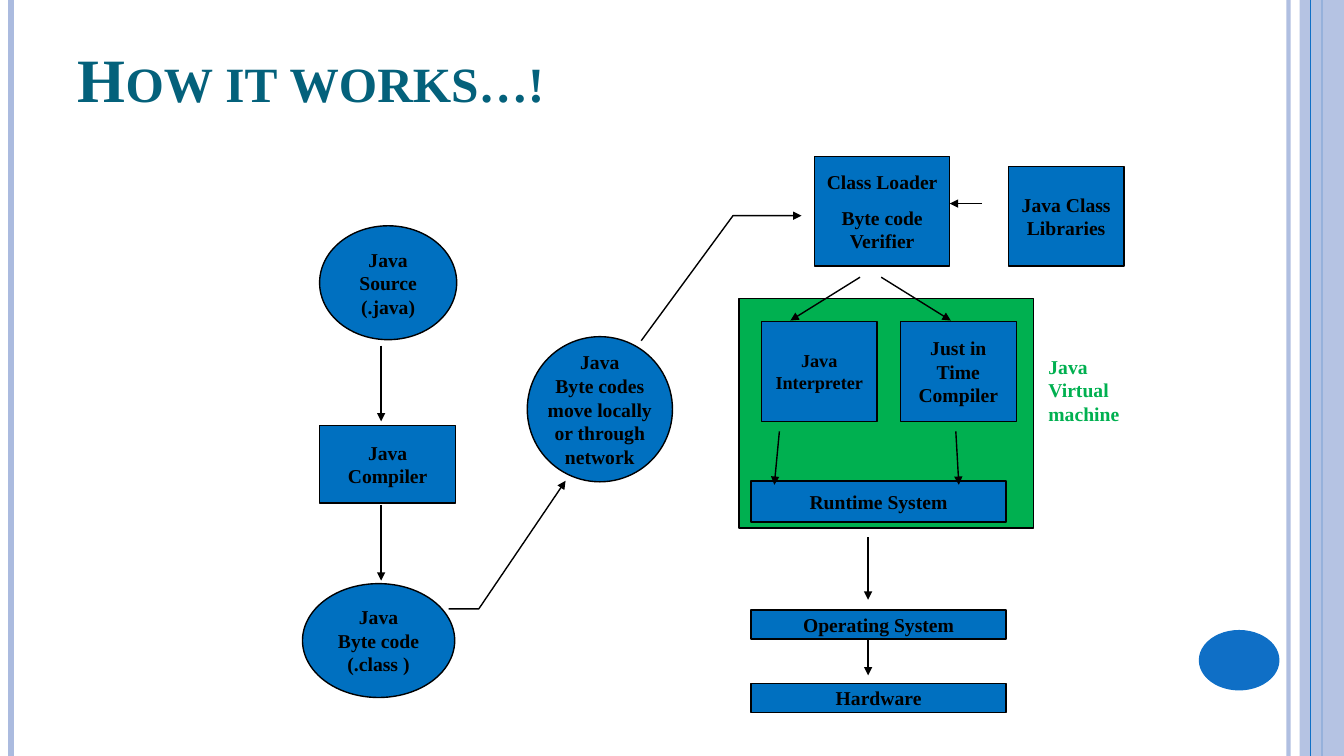
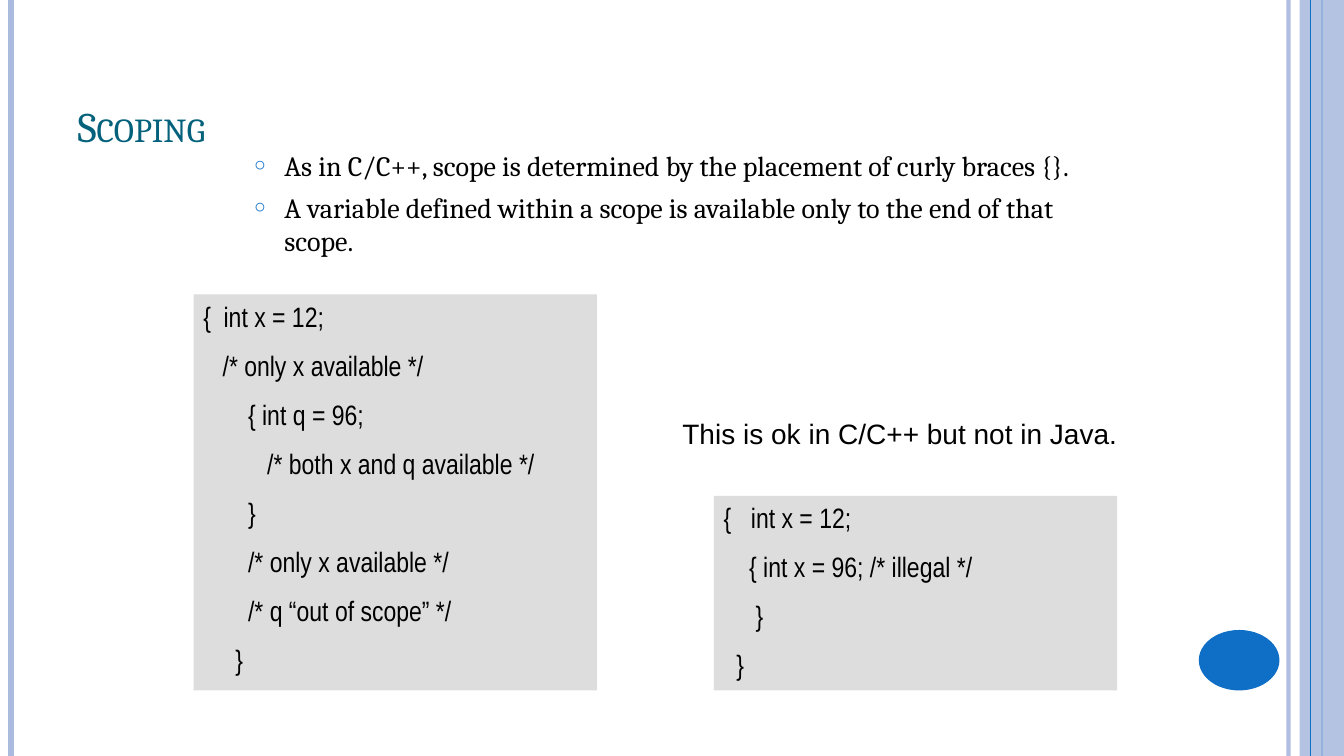
from pptx import Presentation
from pptx.dml.color import RGBColor
from pptx.enum.shapes import MSO_CONNECTOR as LINK, MSO_SHAPE as SHAPE
from pptx.enum.text import MSO_ANCHOR as ANCHOR, MSO_AUTO_SIZE as FIT, PP_ALIGN as ALIGN
from pptx.oxml.ns import qn
from pptx.util import Inches, Pt
from lxml.etree import SubElement

TEAL = RGBColor(0x04, 0x61, 0x7B)
ACCENT = RGBColor(0x0F, 0x6F, 0xC6)
LAVENDER = RGBColor(0xAB, 0xBB, 0xDF)
BLUE = RGBColor(0x00, 0x70, 0xC0)
GREEN = RGBColor(0x00, 0xB0, 0x50)
GREY = RGBColor(0xDD, 0xDD, 0xDD)
BLACK = RGBColor(0, 0, 0)

SERIF, BODY, SANS, CODE = "Times New Roman", "Cambria", "Arial", "Arial Narrow"
TITLE_ONLY, TITLE_AND_CONTENT = 5, 1
CODE_SPACE = Pt(4.55)  # width of one space in the code font


def set_opacity(properties, percent):
    for color in properties.iter(qn("a:srgbClr")):
        SubElement(color, qn("a:alpha"), val=str(percent * 1000))


def place(shape, left, top, width, height):
    shape.left, shape.top = Inches(left), Inches(top)
    shape.width, shape.height = Inches(width), Inches(height)


class Deck:
    """Holds the shared style and the slide being drawn."""

    def __init__(self):
        self.prs = Presentation()
        self.prs.slide_width, self.prs.slide_height = Inches(13.33), Inches(7.5)
        self.slide = None

    def new_slide(self, layout):
        self.slide = self.prs.slides.add_slide(self.prs.slide_layouts[layout])

    def master_frame(self):
        """Draw the side lines, band and disc, then move them to the master."""
        frame = [
            self.line((12.78, 0), (12.78, 7.5), LAVENDER, 3),
            self.line((0.11, 0), (0.11, 7.5), LAVENDER, 4.5),
            self.line((13.11, 0), (13.11, 7.5), ACCENT, 1.5),
            self.shape(SHAPE.RECTANGLE, (12.89, 0, 0.44, 7.5), LAVENDER),
            self.line((13, 0), (13, 7.5), ACCENT, 0.75),
            self.shape(SHAPE.OVAL, (11.89, 6.25, 0.8, 0.6), ACCENT),
        ]
        set_opacity(frame[0].element.spPr, 93)
        set_opacity(frame[3].element.spPr, 87)
        master_tree = self.prs.slide_master.shapes.element
        for order, part in enumerate(frame):
            part.element.xpath(".//p:cNvPr")[0].set("id", str(101 + order))
            master_tree.insert(2 + order, part.element)

    def add_texts(self, frame, texts, font, size, color=BLACK, bold=False, align=ALIGN.LEFT):
        """Fill a text frame, one paragraph per text."""
        paragraphs = []
        for index, text in enumerate(texts):
            paragraph = frame.add_paragraph() if index else frame.paragraphs[0]
            paragraph.alignment = align
            run = paragraph.add_run()
            run.text = text
            run.font.name, run.font.size, run.font.bold = font, Pt(size), bold
            run.font.color.rgb = color
            paragraphs.append(paragraph)
        return paragraphs

    def title(self, text, height, font, size, bold=False):
        title = self.slide.shapes.title
        place(title, 0.67, 0.3, 10.89, height)
        frame = title.text_frame
        frame.vertical_anchor, frame.auto_size = ANCHOR.BOTTOM, FIT.NONE
        heading = self.add_texts(frame, [text], font, size, TEAL, bold)[0]
        heading.runs[0].font._element.set("cap", "small")

    def bullets(self, box, texts):
        body = self.slide.placeholders[1]
        place(body, *box)
        body.text_frame.auto_size = FIT.NONE
        for item in self.add_texts(body.text_frame, texts, BODY, 20):
            item.space_before = Pt(6)
            props = item._p.get_or_add_pPr()
            props.set("marL", str(Inches(0.3)))
            props.set("indent", str(Inches(-0.3)))
            bullet_color = SubElement(props, qn("a:buClr"))
            SubElement(bullet_color, qn("a:srgbClr"), val=str(ACCENT))
            SubElement(props, qn("a:buSzPct"), val="70000")
            SubElement(props, qn("a:buChar"), char="○")

    def shape(self, kind, box, fill, outline=None):
        shape = self.slide.shapes.add_shape(kind, *map(Inches, box))
        shape.shadow.inherit = False
        shape.fill.solid()
        shape.fill.fore_color.rgb = fill
        if outline is None:
            shape.line.fill.background()
        else:
            shape.line.color.rgb, shape.line.width = outline, Pt(1)
        return shape

    def node(self, kind, box, texts, size=14, wrap=True):
        """Draw one labelled step of the flow."""
        node = self.shape(kind, box, BLUE, BLACK)
        frame = node.text_frame
        frame.word_wrap, frame.vertical_anchor = wrap, ANCHOR.MIDDLE
        return self.add_texts(frame, texts, SERIF, size, bold=True, align=ALIGN.CENTER)

    def label(self, box, texts, font, size, color=BLACK, bold=False):
        label = self.slide.shapes.add_textbox(*map(Inches, box))
        label.text_frame.word_wrap = True
        self.add_texts(label.text_frame, texts, font, size, color, bold)

    def code(self, box, lines, tab):
        """Draw a code panel from (indent in spaces, text) lines."""
        panel = self.shape(SHAPE.RECTANGLE, box, GREY)
        frame = panel.text_frame
        frame.word_wrap, frame.vertical_anchor = True, ANCHOR.TOP
        paragraphs = self.add_texts(frame, [text for _, text in lines], CODE, 20)
        for paragraph, (indent, text) in zip(paragraphs, lines):
            paragraph.space_after = Pt(11)
            props = paragraph._p.get_or_add_pPr()
            props.set("marL", str(indent * CODE_SPACE))
            if "\t" in text:
                stops = SubElement(props, qn("a:tabLst"))
                SubElement(stops, qn("a:tab"), pos=str(Inches(tab)), algn="l")

    def line(self, start, end, color=BLACK, width=1):
        line = self.slide.shapes.add_connector(LINK.STRAIGHT, *map(Inches, start + end))
        line.line.color.rgb, line.line.width = color, Pt(width)
        SubElement(line.element.spPr, qn("a:effectLst"))
        return line

    def arrow(self, *points):
        """Draw an arrow through the points, straight or bent."""
        if len(points) == 2:
            arrow = self.line(*points)
        else:
            start, *rest = [tuple(map(Inches, point)) for point in points]
            builder = self.slide.shapes.build_freeform(*start)
            builder.add_line_segments(rest, close=False)
            arrow = builder.convert_to_shape()
            arrow.shadow.inherit = False
            arrow.fill.background()
            arrow.line.color.rgb, arrow.line.width = BLACK, Pt(1)
        SubElement(arrow.element.spPr.find(qn("a:ln")), qn("a:tailEnd"), type="triangle")


def how_it_works(deck):
    deck.title("How it works…!", 0.89, SERIF, 44, bold=True)
    box, oval = SHAPE.RECTANGLE, SHAPE.OVAL

    deck.node(oval, (5.23, 3.34, 1.44, 1.44),
              ["Java", "Byte codes", "move locally", "or through", "network"], wrap=False)
    deck.node(oval, (3.17, 2.24, 1.36, 1.13), ["Java", "Source", "(.java)"])
    deck.node(box, (3.17, 4.22, 1.35, 0.77), ["Java", "Compiler"])
    deck.node(oval, (3, 5.79, 1.51, 1.13), ["Java", "Byte code", "(.class )"])

    deck.shape(box, (7.33, 2.96, 2.92, 2.28), GREEN, BLACK)
    deck.node(box, (7.55, 3.19, 1.15, 0.99), ["Java", "Interpreter"], size=13)
    deck.node(box, (8.93, 3.19, 1.15, 0.99), ["Just in Time", "Compiler"])
    deck.label((10.3, 3.47, 1.16, 0.81), ["Java", "Virtual", "machine"], SERIF, 14, GREEN, True)

    loader = deck.node(box, (8.08, 1.55, 1.34, 1.09), ["Class Loader", "Byte code", "Verifier"])
    loader[0].space_after = Pt(9)
    deck.node(box, (10, 1.65, 1.15, 0.99), ["Java Class", "Libraries"])

    for top, height, layer in [(4.77, 0.41, "Runtime System"),
                               (6.05, 0.29, "Operating System"),
                               (6.78, 0.29, "Hardware")]:
        deck.node(box, (7.45, top, 2.53, height), [layer])

    for route in [
        [(3.78, 3.43), (3.78, 4.18)],
        [(3.78, 5.01), (3.78, 5.76)],
        [(4.45, 6.04), (4.75, 6.04), (5.61, 4.77)],
        [(6.36, 3.38), (7.27, 2.14), (7.95, 2.14)],
        [(9.74, 2.02), (9.42, 2.02)],
        [(8.53, 2.75), (7.84, 3.18)],
        [(8.74, 2.75), (9.43, 3.18)],
        [(7.73, 4.28), (7.68, 4.81)],
        [(9.48, 4.28), (9.51, 4.81)],
        [(8.61, 5.33), (8.61, 5.95)],
        [(8.61, 6.35), (8.61, 6.7)],
    ]:
        deck.arrow(*route)


def scoping(deck):
    deck.title("Scoping", 1.25, BODY, 30)
    deck.bullets((2.42, 1.42, 8.5, 2), [
        "As in C/C++, scope is determined by the placement of curly braces {}.",
        "A variable defined within a scope is available only to the end of that scope.",
    ])
    deck.code((1.92, 2.92, 4, 3.93), [
        (0, "{\tint x = 12;"),
        (3, "/* only x available */"),
        (7, "{ int q = 96;"),
        (10, "/* both x and q available */"),
        (7, "}"),
        (7, "/* only x available */"),
        (7, "/* q “out of scope” */"),
        (5, "}"),
    ], tab=0.2)
    deck.code((7.08, 4.92, 4, 1.93), [
        (0, "{\tint x = 12;"),
        (4, "{ int x = 96; /* illegal */"),
        (5, "}"),
        (2, "}"),
    ], tab=0.27)
    deck.label((6.67, 4.08, 4.94, 0.43), ["This is ok in C/C++ but not in Java."], SANS, 20)


def main():
    deck = Deck()
    deck.new_slide(TITLE_ONLY)
    deck.master_frame()
    how_it_works(deck)
    deck.new_slide(TITLE_AND_CONTENT)
    scoping(deck)
    deck.prs.save("out.pptx")


if __name__ == "__main__":
    main()
